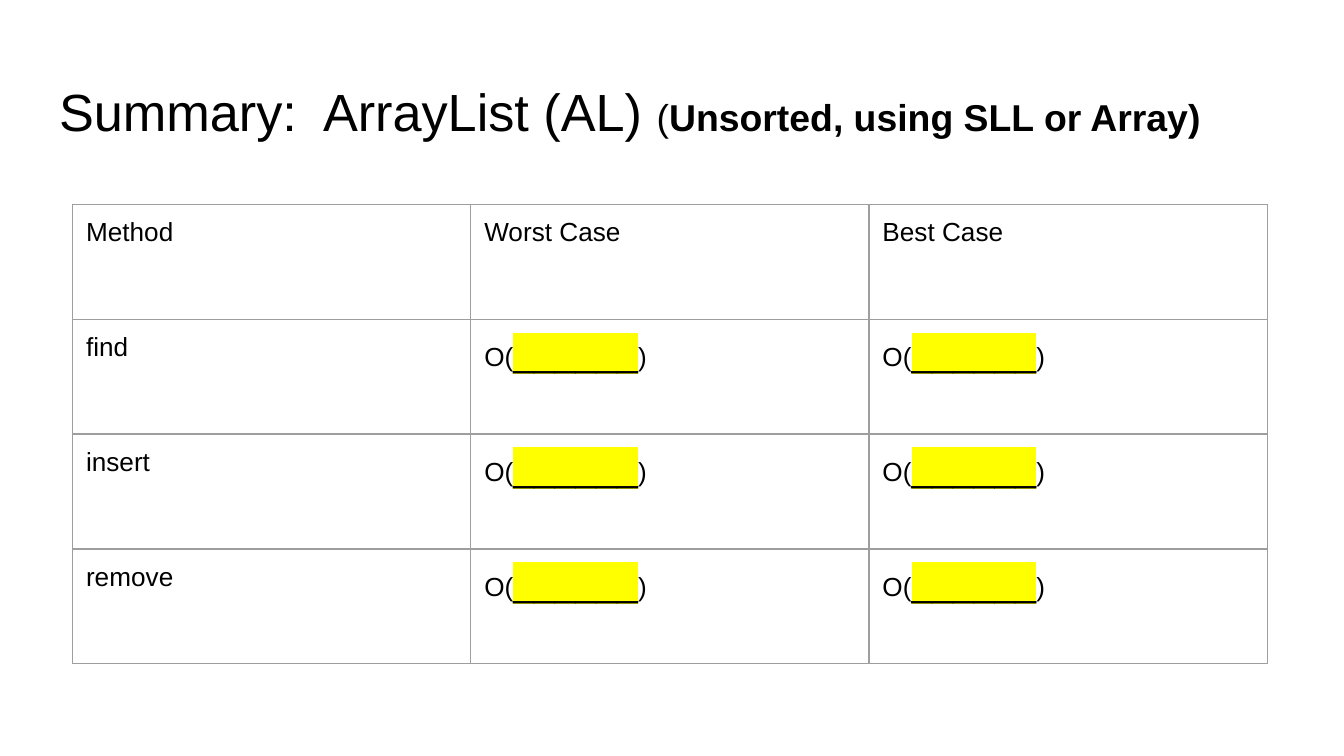
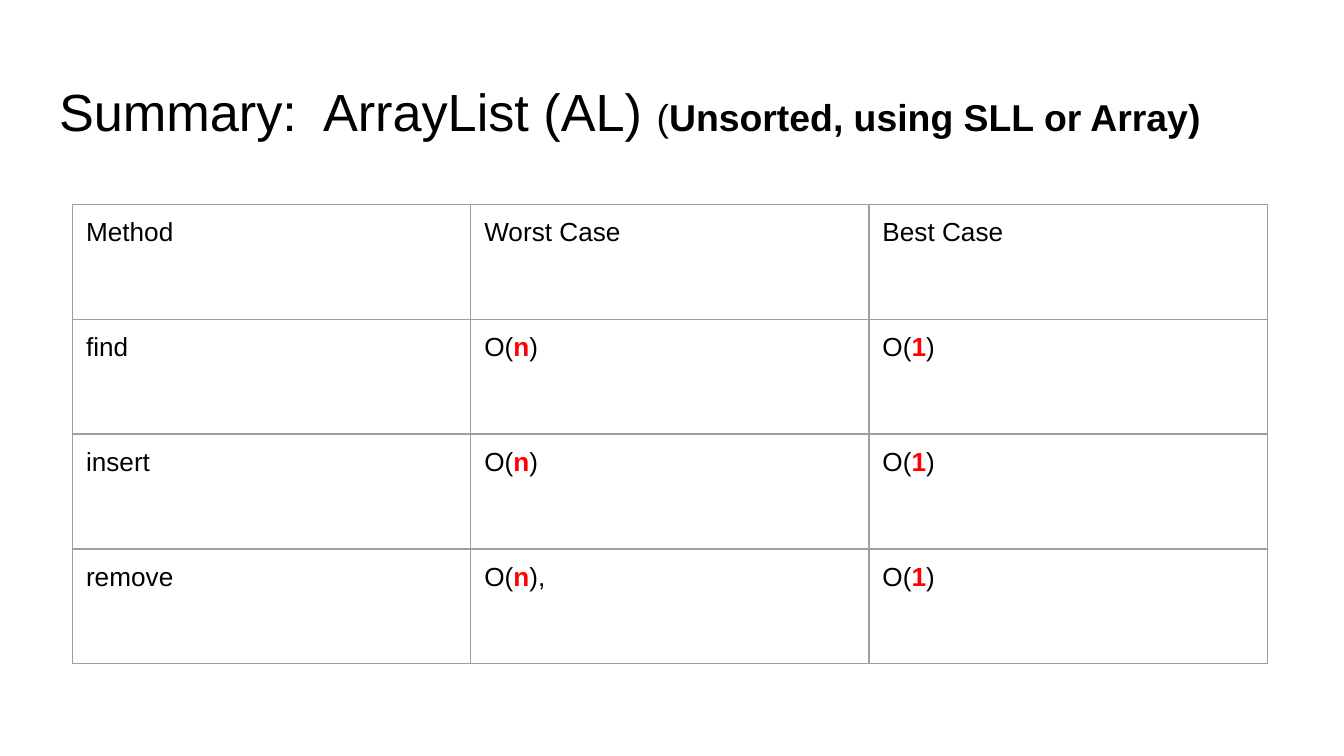
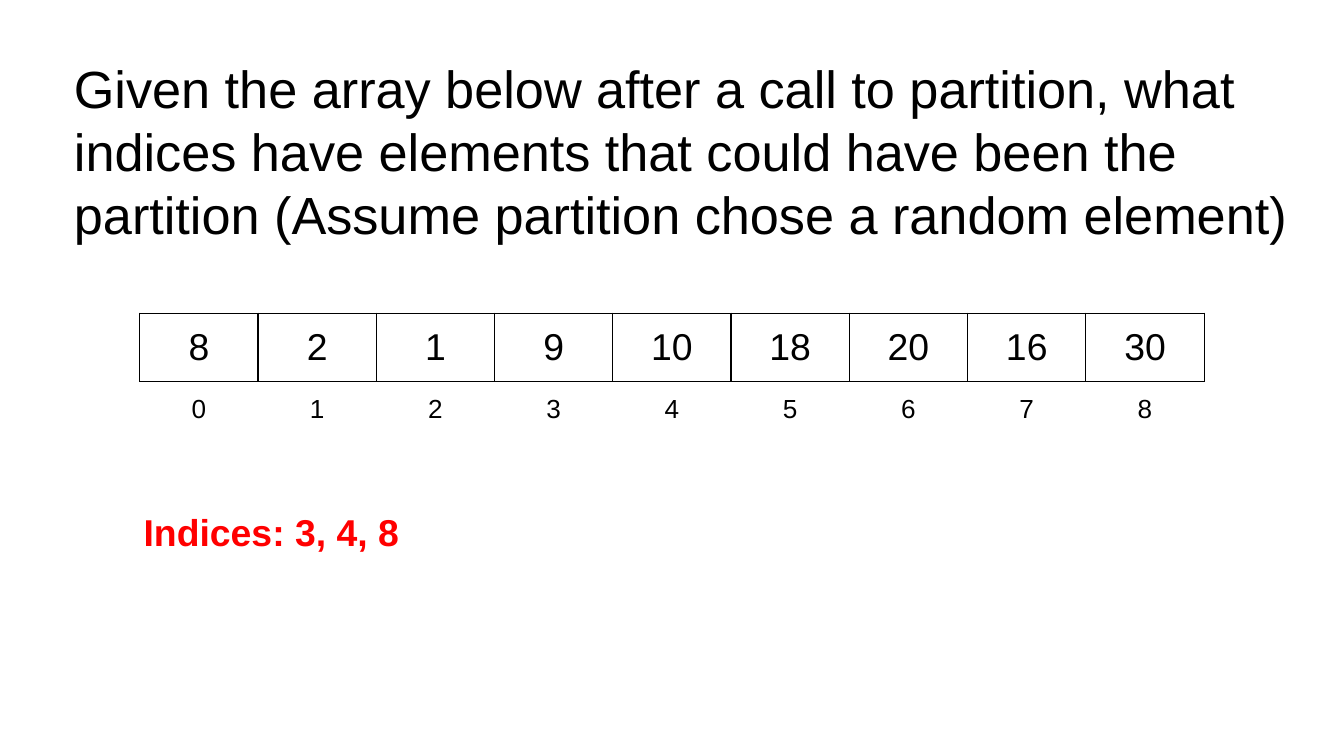
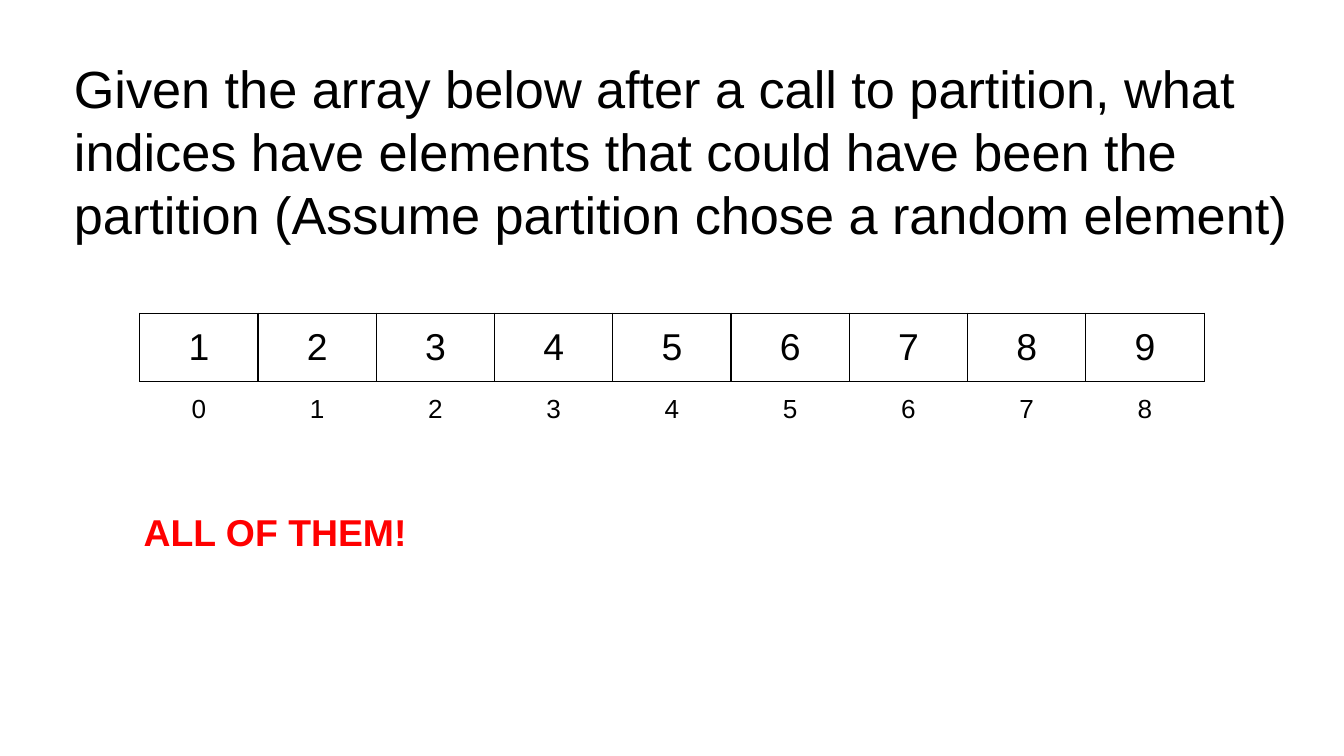
from lxml.etree import SubElement
from pptx import Presentation
from pptx.dml.color import RGBColor
from pptx.enum.text import MSO_ANCHOR, MSO_AUTO_SIZE, PP_ALIGN
from pptx.oxml.ns import qn
from pptx.util import Inches, Pt

FONT = "Arial"
BLACK, RED, YELLOW, GREY = "000000", "FF0000", "FFFF00", "9E9E9E"
TITLE_SIZE, LARGE_SIZE, SMALL_SIZE = 28, 20, 14
INSET = 0.1
NO_STYLE = "{2D5ABB26-0587-4C30-8999-92F81FD0307C}"
ALL_SIDES = ("L", "R", "T", "B")

SUMMARY_BOX = (0.34, 0.49, 9.32, 0.63)
SUMMARY_TABLE_BOX = (0.54, 1.52, 8.89, 3.42)
QUESTION_BOX = (0.45, 0.32, 9.54, 0.63)
ARRAY_BOX = (1.04, 2.33, 7.92, 0.84)
ANSWER_BOX = (0.97, 3.69, 8.08, 1.44)

QUESTION = ("Given the array below after a call to partition, what indices have "
            "elements that could have been the partition "
            "(Assume partition chose a random element)")


def rgb(value):
    return RGBColor.from_string(value)


def add_run(para, text, size, color=BLACK, bold=False, highlight=None):
    span = para.add_run()
    span.text = text
    font = span.font
    font.size, font.bold = Pt(size), bold
    font.color.rgb = rgb(color)
    if highlight:
        mark = SubElement(font._element, qn("a:highlight"))
        SubElement(mark, qn("a:srgbClr"), val=highlight)
    font.name = FONT


def set_insets(target):
    target.margin_left = target.margin_right = Inches(INSET)
    target.margin_top = target.margin_bottom = Inches(INSET)


def prepare_frame(shape):
    """Give the text frame its shared layout and return its first paragraph."""
    frame = shape.text_frame
    frame.word_wrap = True
    frame.auto_size = MSO_AUTO_SIZE.NONE
    frame.vertical_anchor = MSO_ANCHOR.TOP
    set_insets(frame)
    para = frame.paragraphs[0]
    para.alignment = PP_ALIGN.LEFT
    para.line_spacing = 1.0
    return para


def place_title(page, box):
    title = page.shapes.title
    title.left, title.top, title.width, title.height = map(Inches, box)
    return prepare_frame(title)


def set_borders(cell, color, sides):
    """Draw the named sides and leave the others without a line."""
    properties = cell._tc.get_or_add_tcPr()
    for index, side in enumerate(ALL_SIDES):
        line = properties.makeelement(qn(f"a:ln{side}"), {"w": str(Pt(0.75))})
        if side in sides:
            fill = SubElement(line, qn("a:solidFill"))
            SubElement(fill, qn("a:srgbClr"), val=color)
        else:
            SubElement(line, qn("a:noFill"))
        properties.insert(index, line)


def add_grid(page, box, row_count, column_count, color, open_rows=()):
    """Add an evenly divided table; open rows have only a top border."""
    left, top, width, height = box
    table = page.shapes.add_table(row_count, column_count, *map(Inches, box)).table
    table.first_row = table.horz_banding = False
    table._tbl.tblPr.find(qn("a:tableStyleId")).text = NO_STYLE
    for column in table.columns:
        column.width = Inches(width / column_count)
    for row_index, row in enumerate(table.rows):
        row.height = Inches(height / row_count)
        for cell in row.cells:
            set_insets(cell)
            cell.fill.background()
            set_borders(cell, color, "T" if row_index in open_rows else ALL_SIDES)
    return table


def add_summary_page(deck, rows, answer_style):
    """Each case in a row is the answer and the text that closes it."""
    page = deck.slides.add_slide(deck.slide_layouts[5])
    title = place_title(page, SUMMARY_BOX)
    add_run(title, "Summary:  ArrayList (AL) ", TITLE_SIZE)
    add_run(title, "(", LARGE_SIZE)
    add_run(title, "Unsorted, using SLL or Array)", LARGE_SIZE, bold=True)

    headings = ("Method", "Worst Case", "Best Case")
    table = add_grid(page, SUMMARY_TABLE_BOX, len(rows) + 1, len(headings), GREY)
    for column, heading in enumerate(headings):
        add_run(table.cell(0, column).text_frame.paragraphs[0], heading, SMALL_SIZE)
    for row, (method, *cases) in enumerate(rows, 1):
        add_run(table.cell(row, 0).text_frame.paragraphs[0], method, SMALL_SIZE)
        for column, (answer, closing) in enumerate(cases, 1):
            para = table.cell(row, column).text_frame.paragraphs[0]
            add_run(para, "O(", SMALL_SIZE)
            add_run(para, answer, **answer_style)
            add_run(para, closing, SMALL_SIZE)


def add_partition_page(deck, values, answer):
    page = deck.slides.add_slide(deck.slide_layouts[5])
    add_run(place_title(page, QUESTION_BOX), QUESTION, TITLE_SIZE)

    table = add_grid(page, ARRAY_BOX, 2, len(values), BLACK, open_rows=(1,))
    for index, value in enumerate(values):
        for row, (number, size) in enumerate(((value, LARGE_SIZE), (index, SMALL_SIZE))):
            para = table.cell(row, index).text_frame.paragraphs[0]
            para.alignment = PP_ALIGN.CENTER
            add_run(para, str(number), size)

    answer_box = page.shapes.add_textbox(*map(Inches, ANSWER_BOX))
    add_run(prepare_frame(answer_box), answer, LARGE_SIZE, RED, bold=True)


def main():
    deck = Presentation()
    deck.slide_width = Inches(10)
    deck.slide_height = deck.slide_width * 9 // 16

    methods = ("find", "insert", "remove")
    blank = ("______", ")")
    add_summary_page(deck, [(method, blank, blank) for method in methods],
                     {"size": LARGE_SIZE, "highlight": YELLOW})
    closings = (")", ")", "),")
    add_summary_page(deck, [(method, ("n", closing), ("1", ")"))
                            for method, closing in zip(methods, closings)],
                     {"size": SMALL_SIZE, "color": RED, "bold": True})
    add_partition_page(deck, (8, 2, 1, 9, 10, 18, 20, 16, 30), "Indices: 3, 4, 8")
    add_partition_page(deck, range(1, 10), "ALL OF THEM!")
    deck.save("out.pptx")


if __name__ == "__main__":
    main()
